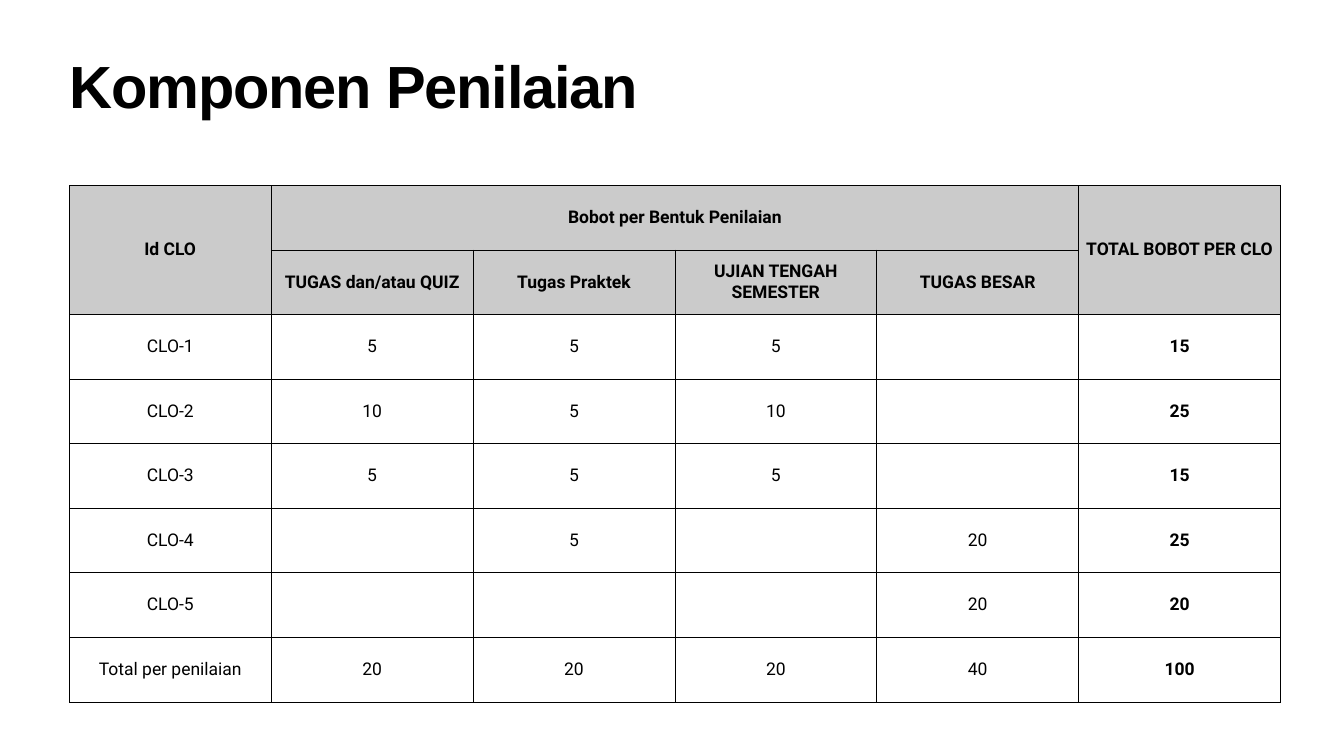
from lxml.etree import SubElement
from pptx import Presentation
from pptx.dml.color import RGBColor
from pptx.enum.text import MSO_ANCHOR, PP_ALIGN
from pptx.oxml.ns import qn
from pptx.util import Emu, Pt

BLACK = RGBColor(0x00, 0x00, 0x00)
WHITE = RGBColor(0xFF, 0xFF, 0xFF)
GREY = RGBColor(0xCB, 0xCB, 0xCB)

HEADER_ROWS = 2
ROWS = [
    ["Id CLO", "Bobot per Bentuk Penilaian", "", "", "", "TOTAL BOBOT PER CLO"],
    ["", "TUGAS dan/atau QUIZ", "Tugas Praktek", "UJIAN TENGAH SEMESTER", "TUGAS BESAR", ""],
    ["CLO-1", "5", "5", "5", "", "15"],
    ["CLO-2", "10", "5", "10", "", "25"],
    ["CLO-3", "5", "5", "5", "", "15"],
    ["CLO-4", "", "5", "", "20", "25"],
    ["CLO-5", "", "", "", "20", "20"],
    ["Total per penilaian", "20", "20", "20", "40", "100"],
]
MERGES = [((0, 0), (1, 0)), ((0, 1), (0, 4)), ((0, 5), (1, 5))]


def px(length):
    return Emu(length * 9525)


def write_text(text_frame, text, font="Roboto", size=25, bold=False, align=PP_ALIGN.CENTER,
               line_spacing=None, tracking=None):
    paragraph = text_frame.paragraphs[0]
    paragraph.alignment = align
    paragraph.line_spacing = line_spacing
    run = paragraph.add_run()
    run.text = text
    run.font.name = font
    run.font.size = Pt(size)
    run.font.bold = bold
    run.font.color.rgb = BLACK
    if tracking is not None:
        run.font._element.set("spc", str(tracking))


class SlideBuilder:
    """Holds the table style and the current slide, and adds elements to it."""

    def __init__(self, slide, border_color=BLACK, border_width=1):
        self.slide = slide
        self.border_color = border_color
        self.border_width = border_width

    def title(self, text, left, top, width, height):
        shape = self.slide.shapes.title
        shape.left, shape.top, shape.width, shape.height = map(px, (left, top, width, height))
        frame = shape.text_frame
        frame.margin_left = frame.margin_right = frame.margin_top = frame.margin_bottom = px(6)
        frame.vertical_anchor = MSO_ANCHOR.TOP
        frame.word_wrap = True
        write_text(frame, text, font="Arial", size=85, bold=True, align=PP_ALIGN.LEFT,
                   line_spacing=0.8, tracking=-170)

    def border(self, cell):
        properties = cell._tc.get_or_add_tcPr()
        for position, side in enumerate(("a:lnL", "a:lnR", "a:lnT", "a:lnB")):
            line = SubElement(properties, qn(side), w=str(Pt(self.border_width)))
            fill = SubElement(line, qn("a:solidFill"))
            SubElement(fill, qn("a:srgbClr"), val=str(self.border_color))
            properties.insert(position, line)

    def cell(self, cell, text, fill, bold):
        cell.margin_left = cell.margin_right = px(7)
        cell.margin_top = cell.margin_bottom = 0
        cell.vertical_anchor = MSO_ANCHOR.MIDDLE
        if fill is None:
            cell.fill.background()
        else:
            cell.fill.solid()
            cell.fill.fore_color.rgb = fill
        self.border(cell)
        if text:
            write_text(cell.text_frame, text, bold=bold)

    def table(self, rows, merges, left, top, width, row_height):
        last_row, last_column = len(rows) - 1, len(rows[0]) - 1
        frame = self.slide.shapes.add_table(len(rows), len(rows[0]), px(left), px(top),
                                            px(width), px(row_height * len(rows)))
        table = frame.table
        table.first_row = table.horz_banding = False
        for row in table.rows:
            row.height = px(row_height)
        for row_index, texts in enumerate(rows):
            is_header = row_index < HEADER_ROWS
            for column_index, text in enumerate(texts):
                if is_header:
                    fill = GREY
                elif column_index == 0 or row_index == last_row:
                    fill = WHITE
                else:
                    fill = None
                self.cell(table.cell(row_index, column_index), text, fill,
                          bold=is_header or column_index == last_column)
        for first, last in merges:
            table.cell(*first).merge(table.cell(*last))


def main():
    presentation = Presentation()
    presentation.slide_width = px(2560)
    presentation.slide_height = px(1440)
    builder = SlideBuilder(presentation.slides.add_slide(presentation.slide_layouts[5]))
    builder.title("Komponen Penilaian", 127, 113, 2307, 151)
    builder.table(ROWS, MERGES, 132, 353, 2307, 123)
    presentation.save("out.pptx")


if __name__ == "__main__":
    main()
